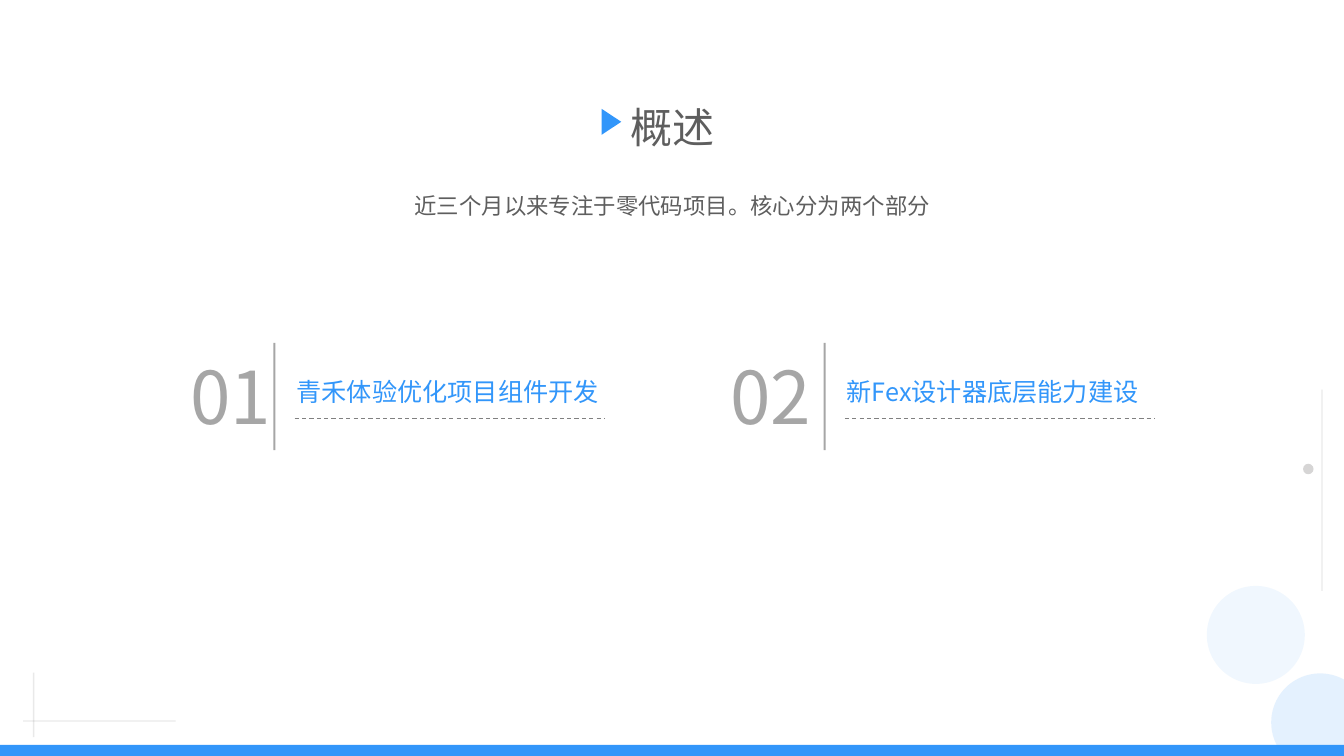
from lxml.etree import SubElement
from pptx import Presentation
from pptx.dml.color import RGBColor
from pptx.enum.dml import MSO_LINE
from pptx.enum.shapes import MSO_CONNECTOR, MSO_SHAPE
from pptx.enum.text import MSO_ANCHOR, MSO_AUTO_SIZE, PP_ALIGN
from pptx.oxml.ns import qn
from pptx.util import Pt

BLUE = RGBColor(0x32, 0x96, 0xFA)
DARK = RGBColor(0x5E, 0x5E, 0x5E)
GRAY = RGBColor(0xA6, 0xA6, 0xA6)
DASH_GRAY = RGBColor(0x80, 0x80, 0x80)
RULE_GRAY = RGBColor(0x92, 0x92, 0x92)
DOT_GRAY = RGBColor(0xD6, 0xD5, 0xD5)
FONT = "Noto Sans CJK SC"
FRAME = {
    "word_wrap": True,
    "auto_size": MSO_AUTO_SIZE.NONE,
    "vertical_anchor": MSO_ANCHOR.MIDDLE,
    "margin_left": Pt(6),
    "margin_right": Pt(6),
    "margin_top": Pt(6),
    "margin_bottom": Pt(6),
}


def set_text(sp, text, size, color, spacing, align=PP_ALIGN.CENTER):
    tf = sp.text_frame
    for name, value in FRAME.items():
        setattr(tf, name, value)
    p = tf.paragraphs[0]
    p.alignment = align
    p.line_spacing = spacing
    r = p.add_run()
    r.text = text
    for name, value in {"name": FONT, "size": Pt(size), "bold": False}.items():
        setattr(r.font, name, value)
    r.font.color.rgb = color
    SubElement(r.font._element, qn("a:ea"), typeface=FONT)


def set_alpha(fill_parent, percent):
    for clr in fill_parent.iter(qn("a:srgbClr")):
        SubElement(clr, qn("a:alpha"), val=str(percent * 1000))


prs = Presentation()
prs.slide_width, prs.slide_height = Pt(1920), Pt(1080)
s = prs.slides.add_slide(prs.slide_layouts[5])

title = s.shapes.title
title.left, title.top, title.width, title.height = Pt(836), Pt(110), Pt(248), Pt(113)
set_text(title, "概述", 60, DARK, 1.4)

subtitle = s.shapes.add_textbox(Pt(572), Pt(257), Pt(777), Pt(61))
set_text(subtitle, "近三个月以来专注于零代码项目。核心分为两个部分", 32, DARK, 1.3)

shapes = [
    (MSO_SHAPE.RECTANGLE, 0, 1064, 1920, 16, BLUE, 100, 0),
    (MSO_SHAPE.OVAL, 1724, 837, 140, 140, BLUE, 7, 0),
    (MSO_SHAPE.OVAL, 1816, 962, 140, 140, BLUE, 13, 0),
    (MSO_SHAPE.ISOSCELES_TRIANGLE, 855, 160, 37, 28, BLUE, 100, 90),
    (MSO_SHAPE.OVAL, 1861.5, 662.5, 15, 15, DOT_GRAY, 100, 0),
]
lines = [
    (1888.5, 844, 1888.5, 556.5, RULE_GRAY, 2, MSO_LINE.SOLID, 20),
    (48, 1053, 48, 961, RULE_GRAY, 2, MSO_LINE.SOLID, 20),
    (33, 1030, 251, 1030, RULE_GRAY, 2, MSO_LINE.SOLID, 20),
]

parts = [
    ("01", 255, 390.5, "青禾体验优化项目组件开发"),
    ("02", 1026, 1176.5, "新Fex设计器底层能力建设"),
]
for number, number_x, bar_x, label in parts:
    number_box = s.shapes.add_textbox(Pt(number_x), Pt(484), Pt(150), Pt(150))
    set_text(number_box, number, 104, GRAY, 1.1)
    label_box = s.shapes.add_textbox(Pt(bar_x + 27), Pt(514), Pt(459), Pt(72))
    set_text(label_box, label, 36, BLUE, 1.4, PP_ALIGN.LEFT)
    shapes.append((MSO_SHAPE.RECTANGLE, bar_x, 490, 3, 153, GRAY, 100, 0))
    lines.append((bar_x + 30.5, 598, bar_x + 473, 598, DASH_GRAY, 1.5, MSO_LINE.DASH, 100))

for kind, x, y, w, h, color, alpha, turn in shapes:
    sp = s.shapes.add_shape(kind, Pt(x), Pt(y), Pt(w), Pt(h))
    sp.shadow.inherit = False
    sp.fill.solid()
    sp.fill.fore_color.rgb = color
    sp.line.fill.background()
    sp.rotation = turn
    if alpha < 100:
        set_alpha(sp._element.spPr, alpha)

for x1, y1, x2, y2, color, width, dash, alpha in lines:
    line = s.shapes.add_connector(MSO_CONNECTOR.STRAIGHT, Pt(x1), Pt(y1), Pt(x2), Pt(y2))
    line.line.color.rgb = color
    line.line.width = Pt(width)
    line.line.dash_style = dash
    if alpha < 100:
        set_alpha(line._element.spPr, alpha)
    SubElement(line._element.spPr, qn("a:effectLst"))

prs.save("out.pptx")
